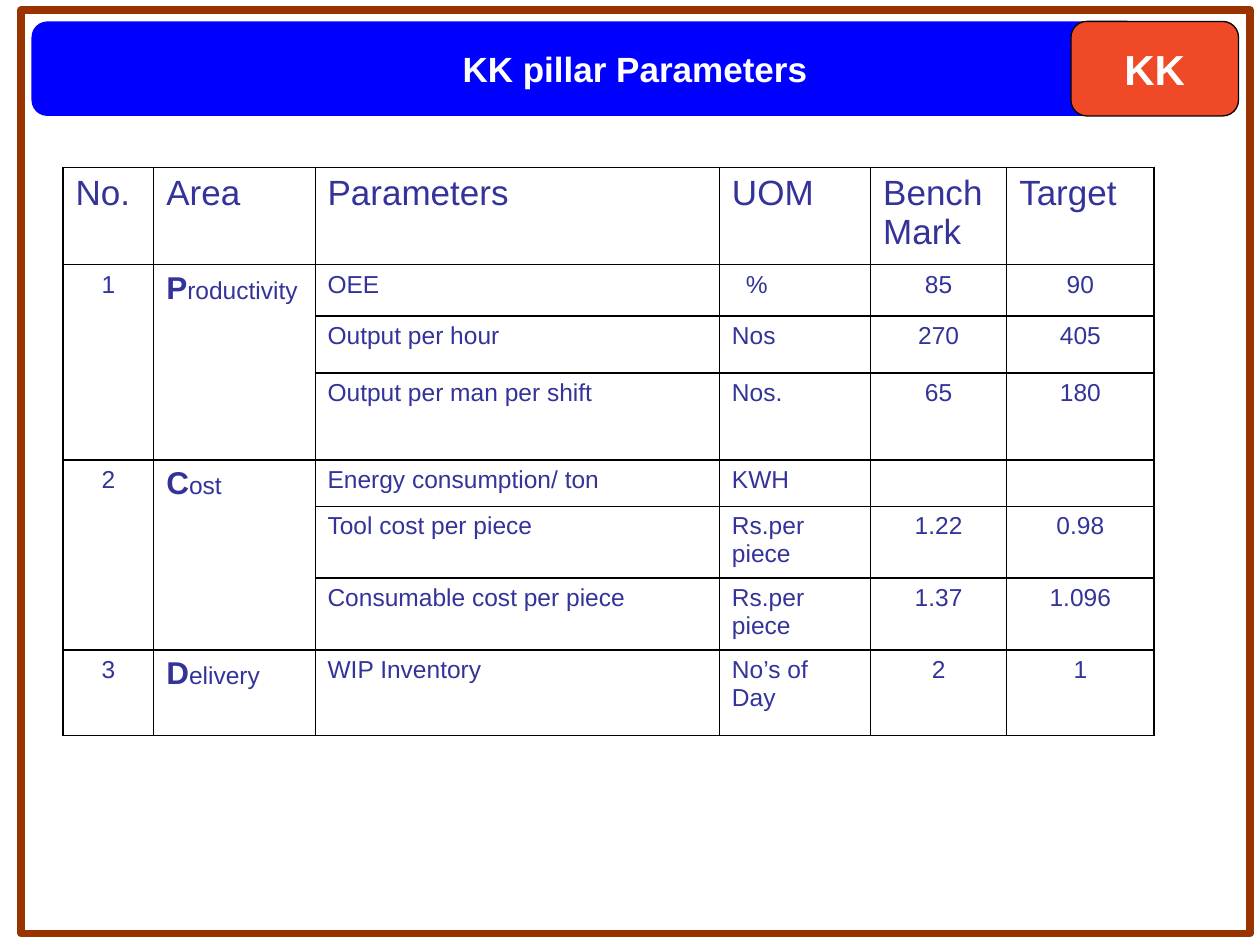
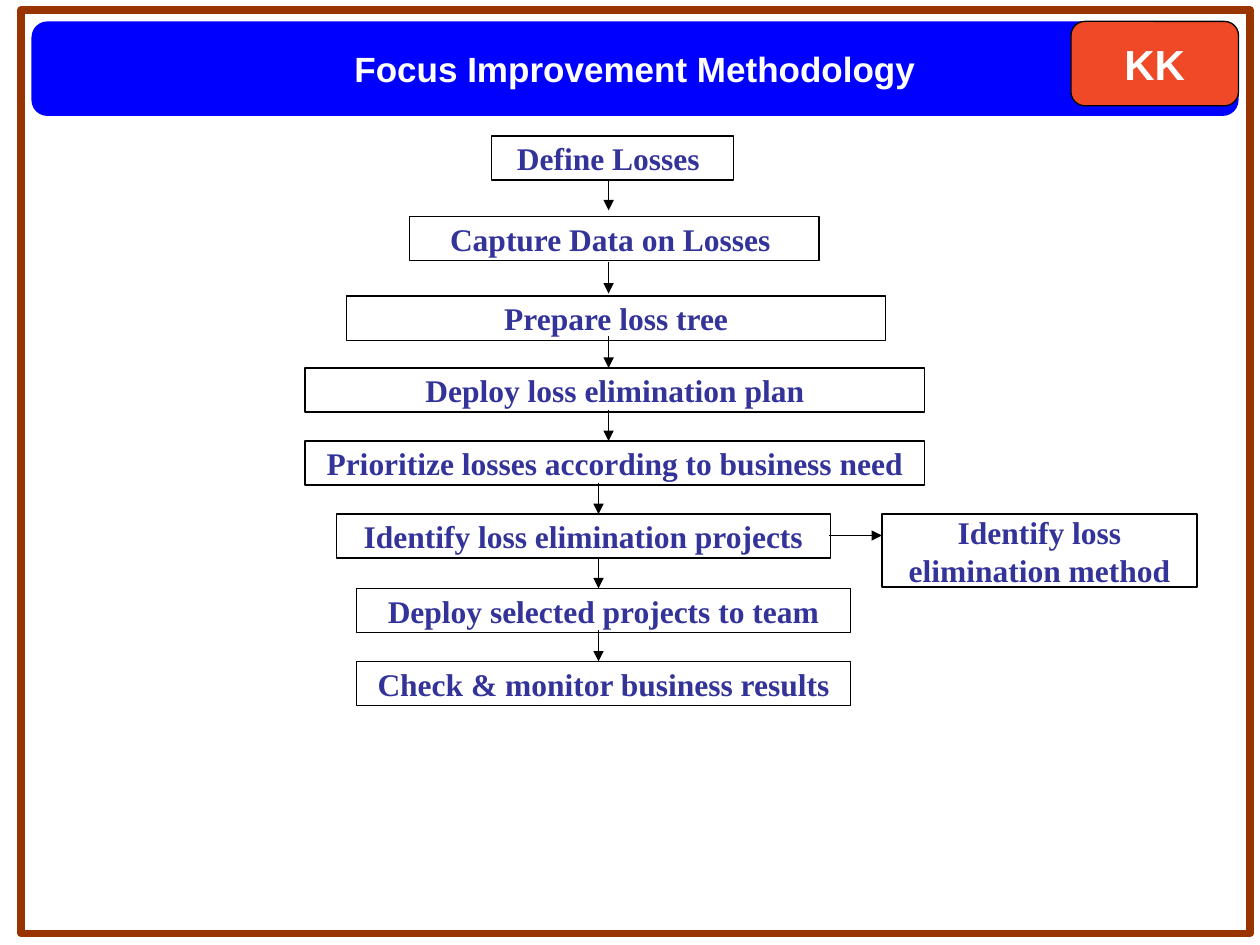
from lxml import etree
from pptx import Presentation
from pptx.dml.color import RGBColor
from pptx.enum.shapes import MSO_CONNECTOR, MSO_SHAPE
from pptx.enum.text import MSO_ANCHOR, PP_ALIGN
from pptx.oxml.ns import qn
from pptx.util import Inches, Pt

RECT, ROUNDED = MSO_SHAPE.RECTANGLE, MSO_SHAPE.ROUNDED_RECTANGLE
STRAIGHT = MSO_CONNECTOR.STRAIGHT
CENTER, LEFT = PP_ALIGN.CENTER, PP_ALIGN.LEFT
MIDDLE = MSO_ANCHOR.MIDDLE
COLORS = {
    "frame": "993300",
    "title": "0000FF",
    "badge": "F04928",
    "text": "333399",
    "white": "FFFFFF",
    "line": "000000",
}
RGB = {name: RGBColor.from_string(value) for name, value in COLORS.items()}


def add_box(s, kind, left, top, width, height, text="", size=18, font="Arial",
            color="white", fill=None, line=None, weight=0.75, wrap=False):
    sp = s.shapes.add_shape(kind, Inches(left), Inches(top), Inches(width), Inches(height))
    sp.shadow.inherit = False
    if fill:
        sp.fill.solid()
        sp.fill.fore_color.rgb = RGB[fill]
    else:
        sp.fill.background()
    if line:
        sp.line.color.rgb = RGB[line]
        sp.line.width = Pt(weight)
    else:
        sp.line.fill.background()
    if text:
        tf = sp.text_frame
        tf.word_wrap = wrap
        tf.vertical_anchor = MIDDLE
        p = tf.paragraphs[0]
        p.text = text
        p.alignment = CENTER
        p.font.name, p.font.size, p.font.bold = font, Pt(size), True
        p.font.color.rgb = RGB[color]
    return sp


def add_arrow(s, x1, y1, x2, y2):
    c = s.shapes.add_connector(STRAIGHT, Inches(x1), Inches(y1), Inches(x2), Inches(y2))
    c.line.color.rgb = RGB["line"]
    c.line.width = Pt(0.75)
    etree.SubElement(c.line._get_or_add_ln(), qn("a:tailEnd"), type="triangle")
    etree.SubElement(c._element.spPr, qn("a:effectLst"))


prs = Presentation()
prs.slide_width, prs.slide_height = Inches(10), Inches(7.5)

# Shared frame, title band and badge
slides = []
for title, badge_height in [("KK pillar Parameters", 0.75),
                            ("Focus Improvement Methodology", 0.67)]:
    s = prs.slides.add_slide(prs.slide_layouts[6])
    add_box(s, RECT, 0.17, 0.08, 9.75, 7.33, line="frame", weight=4.5)
    add_box(s, ROUNDED, 0.25, 0.17, 9.58, 0.75, title, size=20, fill="title")
    add_box(s, ROUNDED, 8.5, 0.17, 1.33, badge_height, "KK", size=24,
            fill="badge", line="line")
    slides.append(s)
parameters_slide, method_slide = slides

# Parameters table
col_widths = [0.72, 1.28, 3.21, 1.2, 1.08, 1.17]
row_heights = [0.77, 0.41, 0.45, 0.69, 0.37, 0.57, 0.57, 0.68]
rows = [
    ["No.", "Area", "Parameters", "UOM", "Bench Mark", "Target"],
    ["1", "Productivity", "OEE", "%", "85", "90"],
    ["", "", "Output per hour", "Nos", "270", "405"],
    ["", "", "Output per man per shift", "Nos.", "65", "180"],
    ["2", "Cost", "Energy consumption/ ton", "KWH", "", ""],
    ["", "", "Tool cost per piece", "Rs.per piece", "1.22", "0.98"],
    ["", "", "Consumable cost per piece", "Rs.per piece", "1.37", "1.096"],
    ["3", "Delivery", "WIP Inventory", "No’s of Day", "2", "1"],
]
centered_cols = (0, 4, 5)
area_col = 1
last_col = len(col_widths) - 1

table = parameters_slide.shapes.add_table(
    len(rows), len(col_widths), Inches(0.5), Inches(1.33),
    Inches(sum(col_widths)), Inches(sum(row_heights))).table
table.first_row = table.horz_banding = False
for col, width in zip(table.columns, col_widths):
    col.width = Inches(width)
for row, height in zip(table.rows, row_heights):
    row.height = Inches(height)

for r, values in enumerate(rows):
    for c, value in enumerate(values):
        cell = table.cell(r, c)
        size = 14 if r else 20
        p = cell.text_frame.paragraphs[0]
        p.alignment = CENTER if r and c in centered_cols else LEFT
        p.font.name, p.font.size = "Arial", Pt(size)
        p.font.color.rgb = RGB["text"]
        if r and c == area_col and value:
            # Large bold initial
            for part, part_size in [(value[0], 18), (value[1:], 14)]:
                run = p.add_run()
                run.text = part
                run.font.size, run.font.bold = Pt(part_size), part_size == 18
        elif value:
            p.text = value
        else:
            p._p.get_or_add_endParaRPr().set("sz", str(size * 100))
        if value == "%":
            cell.margin_left = Inches(0.21)

        # Cell borders: heavy outside and between rows, thin between columns
        weights = {
            "a:lnL": 0.45 if c else 1.08,
            "a:lnR": 0.45 if c < last_col else 1.08,
            "a:lnT": 1.08,
            "a:lnB": 1.08,
        }
        tc_pr = cell._tc.get_or_add_tcPr()
        for tag, weight in weights.items():
            ln = etree.SubElement(tc_pr, qn(tag), w=str(Pt(weight)))
            solid = etree.SubElement(ln, qn("a:solidFill"))
            etree.SubElement(solid, qn("a:srgbClr"), val=COLORS["line"])
        cell.fill.background()

for first_row in (1, 4):
    for c in (0, area_col):
        table.cell(first_row, c).merge(table.cell(first_row + 2, c))

# Methodology flow: text, left, top, width
steps = [
    ("Define Losses ", 3.9, 1.08, 1.92),
    ("Capture Data on Losses ", 3.25, 1.72, 3.25),
    ("Prepare loss tree", 2.75, 2.35, 4.28),
    ("Deploy loss elimination plan", 2.42, 2.92, 4.92),
    ("Prioritize losses according to business need", 2.42, 3.5, 4.92),
    ("Identify loss elimination projects", 2.67, 4.08, 3.92),
    ("Deploy selected projects to team", 2.83, 4.67, 3.92),
    ("Check & monitor business results", 2.83, 5.25, 3.92),
]
step_style = dict(font="Times New Roman", color="text", line="line", wrap=True)
for text, left, top, width in steps:
    add_box(method_slide, RECT, left, top, width, 0.35, text, **step_style)
add_box(method_slide, RECT, 7, 4.08, 2.5, 0.58, "Identify loss elimination method",
        **step_style)

# Arrows between the steps and to the side step
for i, y in enumerate([1.42, 2.08, 2.67, 3.25, 3.83, 4.42, 5]):
    x = 4.83 if i < 4 else 4.75
    add_arrow(method_slide, x, y, x, y + 0.25)
add_arrow(method_slide, 6.58, 4.25, 7, 4.25)

prs.save("out.pptx")
